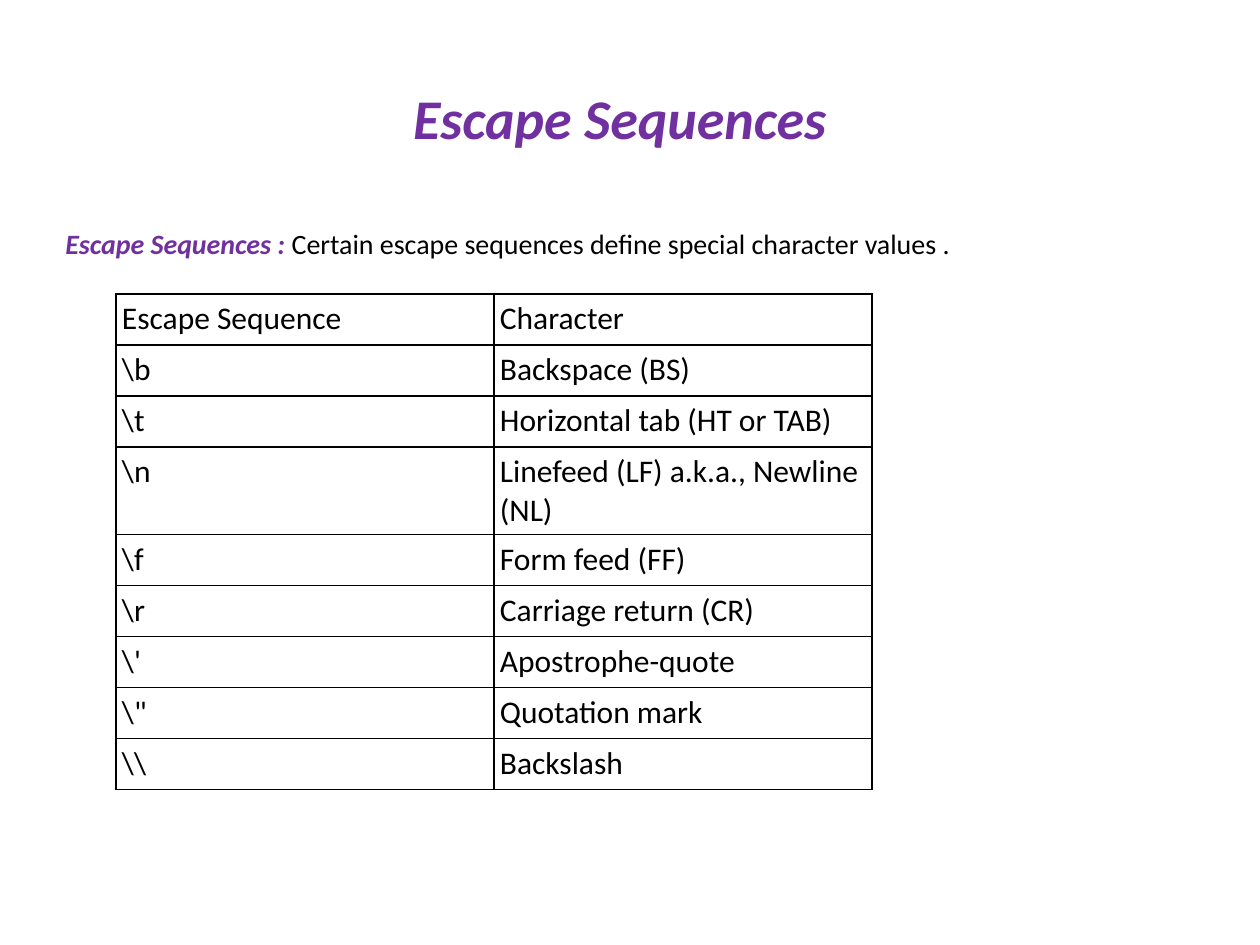
import dataclasses
import typing

import lxml.etree
import pptx
import pptx.dml.color
import pptx.enum.text
import pptx.oxml.ns
import pptx.util

SCALE = 914400 / 126


@dataclasses.dataclass(frozen=True)
class Theme:
    font: str = "Calibri"
    accent: str = "7030A0"
    ink: str = "000000"
    title: int = 32
    body: int = 16
    cell: int = 18
    rule: int = 1


class Box(typing.NamedTuple):
    left: int
    top: int
    width: int
    height: int


class Entry(typing.NamedTuple):
    code: str
    name: str


THEME = Theme()
TITLE = Box(53, 38, 1134, 158)
BODY = Box(53, 220, 1134, 624)
GRID = Box(116, 294, 756, 459)
INSET = 6

ENTRIES = [
    Entry("Escape Sequence", "Character"),
    Entry(r"\b", "Backspace (BS)"),
    Entry(r"\t", "Horizontal tab (HT or TAB)"),
    Entry(r"\n", "Linefeed (LF) a.k.a., Newline (NL)"),
    Entry(r"\f", "Form feed (FF)"),
    Entry(r"\r", "Carriage return (CR)"),
    Entry(r"\'", "Apostrophe-quote"),
    Entry(r'\"', "Quotation mark"),
    Entry("\\\\", "Backslash"),
]


def px(count: int) -> int:
    return round(count * SCALE)


def place(box: Box) -> list[int]:
    return [px(side) for side in box]


def style(font, size: int, color: str, strong: bool = False) -> None:
    font.name = THEME.font
    font.size = pptx.util.Pt(size)
    font.color.rgb = pptx.dml.color.RGBColor.from_string(color)
    font.bold = font.italic = strong


def add_text(slide, box: Box):
    frame = slide.shapes.add_textbox(*place(box)).text_frame
    frame.word_wrap = True
    return frame


def add_title(slide) -> None:
    frame = add_text(slide, TITLE)
    frame.vertical_anchor = pptx.enum.text.MSO_ANCHOR.MIDDLE
    para = frame.paragraphs[0]
    para.text = "Escape Sequences"
    para.alignment = pptx.enum.text.PP_ALIGN.CENTER
    style(para.font, THEME.title, THEME.accent, True)


def add_body(slide) -> None:
    para = add_text(slide, BODY).paragraphs[0]
    label = para.add_run()
    label.text = "Escape Sequences : "
    style(label.font, THEME.body, THEME.accent, True)
    detail = para.add_run()
    detail.text = "Certain escape sequences define special character values ."
    style(detail.font, THEME.body, THEME.ink)


def add_rules(cell) -> None:
    name = pptx.oxml.ns.qn
    props = cell._tc.get_or_add_tcPr()
    for place_no, side in enumerate(("lnL", "lnR", "lnT", "lnB")):
        line = lxml.etree.Element(name(f"a:{side}"), w=str(pptx.util.Pt(THEME.rule)))
        fill = lxml.etree.SubElement(line, name("a:solidFill"))
        lxml.etree.SubElement(fill, name("a:srgbClr"), val=THEME.ink)
        props.insert(place_no, line)


def fill_cell(cell, text: str) -> None:
    cell.fill.background()
    cell.margin_left = cell.margin_right = px(INSET)
    cell.margin_top = cell.margin_bottom = px(INSET)
    para = cell.text_frame.paragraphs[0]
    para.text = text
    style(para.font, THEME.cell, THEME.ink)
    add_rules(cell)


def add_grid(slide) -> None:
    table = slide.shapes.add_table(len(ENTRIES), 2, *place(GRID)).table
    table.first_row = table.horz_banding = False
    for row, entry in zip(table.rows, ENTRIES):
        for cell, text in zip(row.cells, entry):
            fill_cell(cell, text)


def main() -> None:
    deck = pptx.Presentation()
    deck.slide_width, deck.slide_height = px(1260), px(945)
    slide = deck.slides.add_slide(deck.slide_layouts[6])
    add_title(slide)
    add_body(slide)
    add_grid(slide)
    deck.save("out.pptx")


if __name__ == "__main__":
    main()
